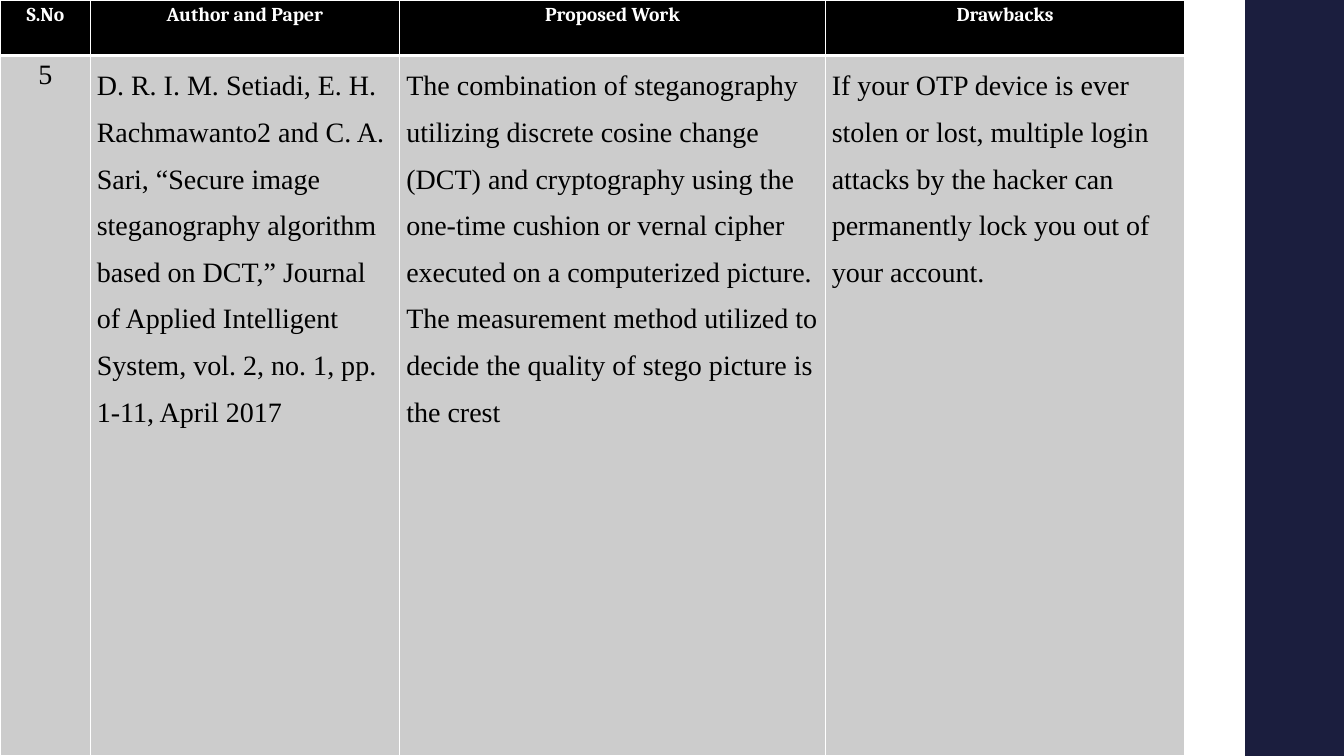
from lxml import etree
from pptx import Presentation, util as u
from pptx.dml.color import RGBColor
from pptx.enum import shapes, text
from pptx.oxml.ns import qn

WIDTH, HEIGHT = 13.33, 7.5
COLORS = {"white": "FFFFFF", "black": "000000", "body": "CCCCCC", "band": "1B1E3E"}
COLUMNS = [0.9, 3.06, 4.23, 3.56]
ROWS = [0.55, 6.95]
HEADINGS = ["S.No", "Author and Paper", "Proposed Work", "Drawbacks"]
ENTRY = [
    "5",
    "D. R. I. M. Setiadi, E. H. Rachmawanto2 and C. A. Sari, “Secure image "
    "steganography algorithm based on DCT,” Journal of Applied Intelligent "
    "System, vol. 2, no. 1, pp. 1-11, April 2017",
    "The combination of steganography utilizing discrete cosine change (DCT) "
    "and cryptography using the one-time cushion or vernal cipher executed on "
    "a computerized picture. The measurement method utilized to decide the "
    "quality of stego picture is the crest",
    "If your OTP device is ever stolen or lost, multiple login attacks by the "
    "hacker can permanently lock you out of your account.",
]
HEADER_STYLE = dict(font="Cambria", size=14, color="white", bold=True, centered=True)
NUMBER_STYLE = dict(font="Times New Roman", size=20, color="black", centered=True)
PROSE_STYLE = dict(font="Times New Roman", size=20, color="black", spacing=1.5)


def rgb(name):
    return RGBColor.from_string(COLORS[name])


def write_text(frame, content, font, size, color, bold=False, centered=False,
               spacing=None, after=None):
    paragraph = frame.paragraphs[0]
    paragraph.alignment = text.PP_ALIGN.CENTER if centered else text.PP_ALIGN.LEFT
    if spacing:
        paragraph.line_spacing = spacing
    if after:
        paragraph.space_after = u.Pt(after)
    run = paragraph.add_run()
    run.text = content
    run.font.name = font
    run.font.size = u.Pt(size)
    run.font.bold = bold
    run.font.color.rgb = rgb(color)


def set_borders(cell, **widths):
    """Draw white borders; the fill must be set afterwards to keep XML order."""
    properties = cell._tc.get_or_add_tcPr()
    for side in ("L", "R", "T", "B"):
        line = etree.SubElement(properties, qn(f"a:ln{side}"),
                                w=str(u.Pt(widths.get(side, 1))))
        fill = etree.SubElement(line, qn("a:solidFill"))
        etree.SubElement(fill, qn("a:srgbClr"), val=COLORS["white"])


def format_cell(cell, fill, margins, **borders):
    side, top = margins
    cell.margin_left = cell.margin_right = u.Inches(side)
    cell.margin_top = cell.margin_bottom = u.Inches(top)
    cell.vertical_anchor = text.MSO_ANCHOR.TOP
    set_borders(cell, **borders)
    cell.fill.solid()
    cell.fill.fore_color.rgb = rgb(fill)


def add_side_band(slide, left, top, width, height):
    band = slide.shapes.add_shape(shapes.MSO_SHAPE.RECTANGLE,
                                  *map(u.Inches, (left, top, width, height)))
    band.shadow.inherit = False
    band.fill.solid()
    band.fill.fore_color.rgb = rgb("band")
    band.line.fill.background()


def add_survey_table(slide, left, top):
    box = map(u.Inches, (left, top, sum(COLUMNS), sum(ROWS)))
    table = slide.shapes.add_table(len(ROWS), len(COLUMNS), *box).table
    for column, width in zip(table.columns, COLUMNS):
        column.width = u.Inches(width)
    for row, height in zip(table.rows, ROWS):
        row.height = u.Inches(height)

    # Header row, with a thick rule below it
    for index, heading in enumerate(HEADINGS):
        cell = table.cell(0, index)
        format_cell(cell, "black", (0.08, 0.04), B=3)
        write_text(cell.text_frame, heading, **HEADER_STYLE)

    # Paper entry
    margins = [(0.08, 0.04), (0.06, 0), (0.07, 0), (0.06, 0)]
    noted = dict(PROSE_STYLE, after=8)
    styles = [NUMBER_STYLE, PROSE_STYLE, noted, noted]
    for index, content in enumerate(ENTRY):
        cell = table.cell(1, index)
        format_cell(cell, "body", margins[index], T=3)
        write_text(cell.text_frame, content, **styles[index])


def main():
    presentation = Presentation()
    presentation.slide_width = u.Inches(WIDTH)
    presentation.slide_height = u.Inches(HEIGHT)
    slide = presentation.slides.add_slide(presentation.slide_layouts[6])
    slide.background.fill.solid()
    slide.background.fill.fore_color.rgb = rgb("white")
    add_side_band(slide, WIDTH - 0.98, 0, 0.98, HEIGHT)
    add_survey_table(slide, 0, 0)
    presentation.save("out.pptx")


if __name__ == "__main__":
    main()
